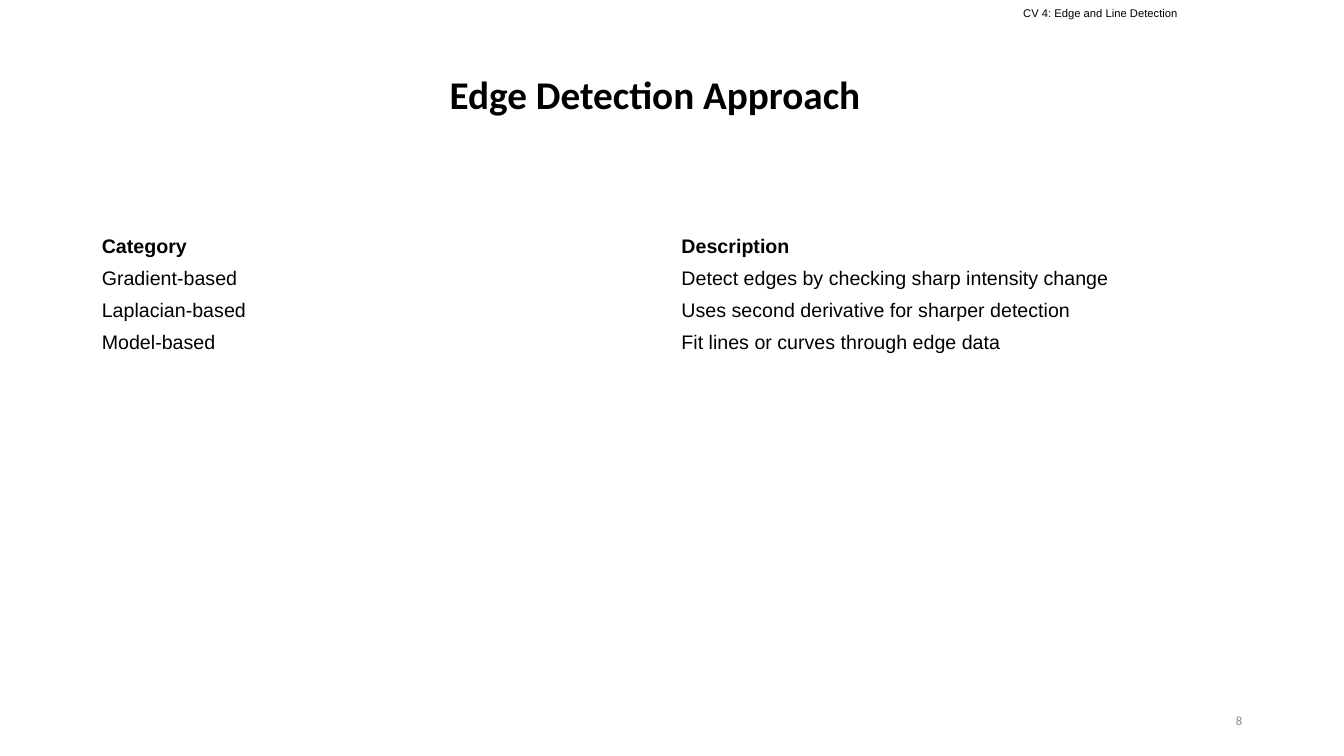
from dataclasses import dataclass

from pptx import Presentation
from pptx.dml.color import RGBColor
from pptx.enum.text import MSO_ANCHOR, PP_ALIGN
from pptx.util import Inches, Pt

WIDTH, HEIGHT = Inches(13.33), Inches(7.5)

ROWS = [
    ("Category", "Description"),
    ("Gradient-based", "Detect edges by checking sharp intensity change"),
    ("Laplacian-based", "Uses second derivative for sharper detection"),
    ("Model-based", "Fit lines or curves through edge data"),
]


@dataclass(frozen=True)
class Theme:
    """Fonts, colours and type sizes of the slide."""
    heading_font: str = "Calibri"
    body_font: str = "Arial"
    ink: RGBColor = RGBColor(0x00, 0x00, 0x00)
    muted: RGBColor = RGBColor(0x88, 0x88, 0x88)
    title_size: int = 28
    table_size: int = 14
    number_size: int = 9
    header_size: int = 8


THEME = Theme()


def area(left, top, width, height):
    """Turn percentages of the slide into lengths."""
    return (round(WIDTH * left / 100), round(HEIGHT * top / 100),
            round(WIDTH * width / 100), round(HEIGHT * height / 100))


def write(frame, text, font_name, size, color=THEME.ink, bold=False, align=PP_ALIGN.LEFT):
    """Write one formatted run into the first paragraph of a text frame."""
    paragraph = frame.paragraphs[0]
    paragraph.alignment = align
    run = paragraph.add_run()
    run.text = text
    run.font.name = font_name
    run.font.size = Pt(size)
    run.font.bold = bold
    run.font.color.rgb = color
    return paragraph


def add_title(slide, text):
    """Place and fill the title placeholder."""
    title = slide.shapes.title
    title.left, title.top, title.width, title.height = area(6.9, 5.33, 83.65, 14.93)
    title.text_frame.vertical_anchor = MSO_ANCHOR.MIDDLE
    paragraph = write(title.text_frame, text, THEME.heading_font, THEME.title_size,
                      bold=True, align=PP_ALIGN.CENTER)
    paragraph.line_spacing = 0.9


def add_label(slide, box, margin, anchor, text, *style, **options):
    """Add a wrapped text box holding one line."""
    frame = slide.shapes.add_textbox(*box).text_frame
    frame.word_wrap = True
    frame.vertical_anchor = anchor
    frame.margin_top = frame.margin_bottom = Inches(margin)
    write(frame, text, *style, **options)


def add_plain_table(slide, rows, box):
    """Add a table without fills whose first row is bold."""
    table = slide.shapes.add_table(len(rows), len(rows[0]), *box).table
    table.first_row = table.horz_banding = False
    for row_index, texts in enumerate(rows):
        for column_index, text in enumerate(texts):
            cell = table.cell(row_index, column_index)
            cell.fill.background()
            cell.vertical_anchor = MSO_ANCHOR.MIDDLE
            cell.margin_left = cell.margin_right = Inches(0.09)
            cell.margin_top = cell.margin_bottom = Inches(0.04)
            write(cell.text_frame, text, THEME.body_font, THEME.table_size,
                  bold=row_index == 0)


def main():
    """Build the slide and save it."""
    presentation = Presentation()
    presentation.slide_width, presentation.slide_height = WIDTH, HEIGHT
    slide = presentation.slides.add_slide(presentation.slide_layouts[5])
    add_label(slide, area(75.39, 0, 24.61, 4.53), 0.1, MSO_ANCHOR.TOP,
              "CV 4: Edge and Line Detection", THEME.body_font, THEME.header_size)
    add_title(slide, "Edge Detection Approach")
    add_label(slide, area(70.67, 92.67, 22.5, 5.33), 0.05, MSO_ANCHOR.MIDDLE,
              "8", THEME.heading_font, THEME.number_size,
              color=THEME.muted, align=PP_ALIGN.RIGHT)
    add_plain_table(slide, ROWS, area(6.9, 30.53, 86.27, 4.23 * len(ROWS)))
    presentation.save("out.pptx")


if __name__ == "__main__":
    main()
